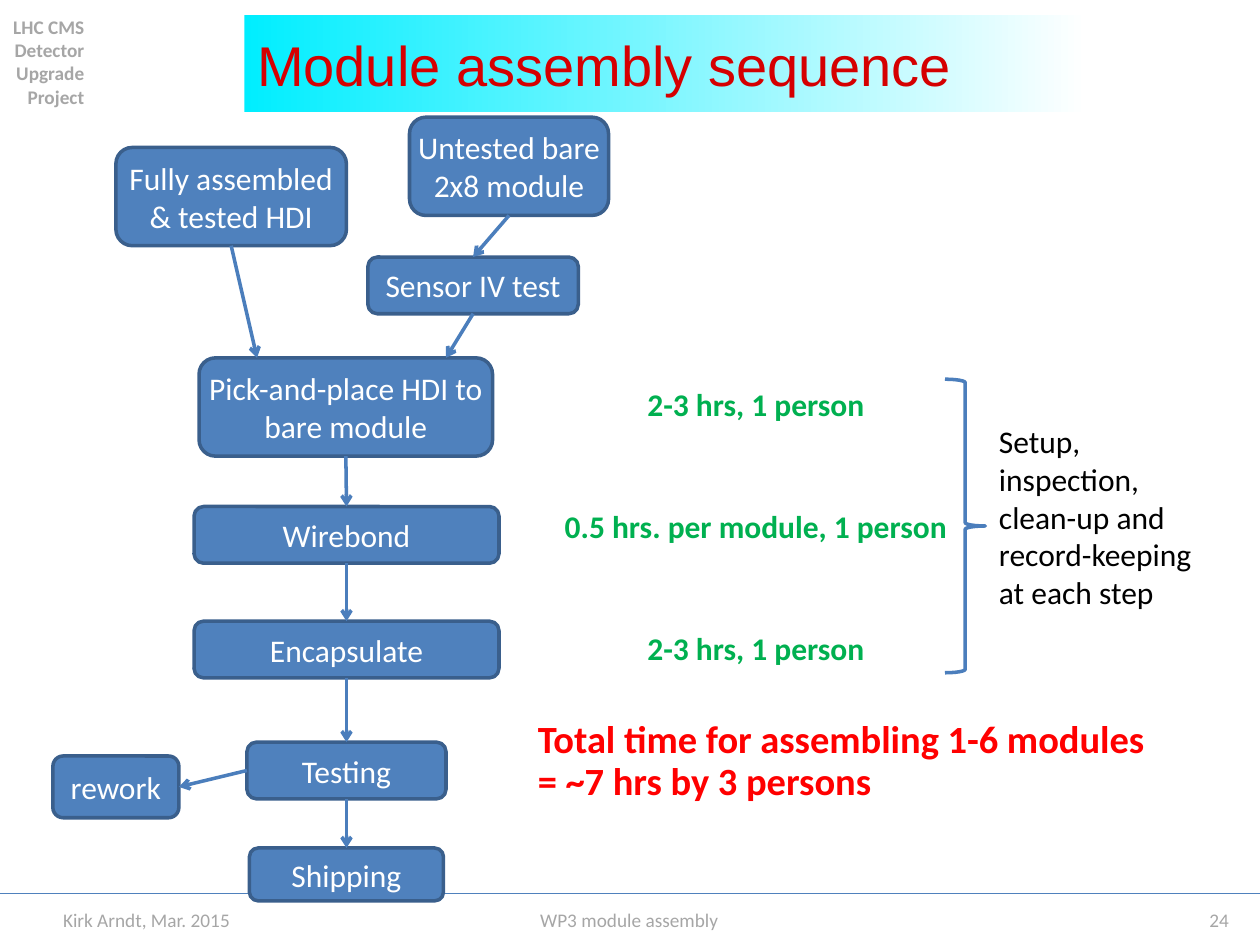
from lxml.etree import SubElement
from pptx import Presentation
from pptx.dml.color import RGBColor
from pptx.enum.shapes import MSO_CONNECTOR, MSO_SHAPE
from pptx.enum.text import MSO_ANCHOR, PP_ALIGN
from pptx.oxml.ns import qn
from pptx.util import Inches, Pt

BLUE = RGBColor(0x4F, 0x81, 0xBD)
DARK_BLUE = RGBColor(0x3A, 0x5F, 0x8C)
ARROW_BLUE = RGBColor(0x4B, 0x7E, 0xBC)
CYAN = RGBColor(0x00, 0xEE, 0xFF)
TITLE_RED = RGBColor(0xD5, 0x00, 0x01)
RED = RGBColor(0xFF, 0x00, 0x00)
GREEN = RGBColor(0x00, 0xB0, 0x50)
GRAY = RGBColor(0xA6, 0xA6, 0xA6)
BLACK = RGBColor(0x00, 0x00, 0x00)
WHITE = RGBColor(0xFF, 0xFF, 0xFF)

TOP, LEFT, BOTTOM, RIGHT = range(4)

STEP = {"name": "Calibri", "size": Pt(18), "color": WHITE}
DURATION = {"name": "Calibri", "size": Pt(18), "bold": True, "color": GREEN}
REMARK = {"name": "Calibri", "size": Pt(18), "color": BLACK}
TOTAL = {"name": "Calibri", "size": Pt(22), "bold": True, "color": RED}
SMALL = {"name": "Calibri", "size": Pt(11), "color": GRAY}
PROJECT = {**SMALL, "bold": True}
TITLE = {"name": "Arial", "size": Pt(32), "color": TITLE_RED}

TIGHT = {"margin_left": 0, "margin_right": 0}
MIDDLE = {"vertical_anchor": MSO_ANCHOR.MIDDLE}


def place(box, left, top, width, height):
    """Turn inches inside a region into slide lengths."""
    return [Inches(box[0] + left), Inches(box[1] + top), Inches(width), Inches(height)]


def write(shape, text, style, align=PP_ALIGN.LEFT, frame_format=None, spacing=None):
    frame = shape.text_frame
    for name, value in {"word_wrap": True, **(frame_format or {})}.items():
        setattr(frame, name, value)
    frame.text = text
    for paragraph in frame.paragraphs:
        paragraph.alignment = align
        paragraph.line_spacing = spacing
        for name, value in style.items():
            if name == "color":
                paragraph.font.color.rgb = value
            else:
                setattr(paragraph.font, name, value)


def add_label(slide, area, *text_args, **text_format):
    write(slide.shapes.add_textbox(*area), *text_args, **text_format)


def add_line(slide, start, end, color, width):
    line = slide.shapes.add_connector(MSO_CONNECTOR.STRAIGHT, *start, *end)
    line.line.color.rgb = color
    line.line.width = Pt(width)
    SubElement(line._element.spPr, qn("a:effectLst"))
    return line


def add_step(slide, area, text):
    step = slide.shapes.add_shape(MSO_SHAPE.ROUNDED_RECTANGLE, *area)
    step.shadow.inherit = False
    step.fill.solid()
    step.fill.fore_color.rgb = BLUE
    step.line.color.rgb = DARK_BLUE
    step.line.width = Pt(2)
    write(step, text, STEP, PP_ALIGN.CENTER, {**TIGHT, **MIDDLE})
    return step


def add_arrow(slide, source, target, sides=(BOTTOM, TOP), end=(0, 0)):
    """Join two steps; without a target the arrow stops at the end point."""
    arrow = add_line(slide, (0, 0), end, ARROW_BLUE, 2)
    arrow.begin_connect(source, sides[0])
    if target is not None:
        arrow.end_connect(target, sides[1])
    SubElement(arrow.line._get_or_add_ln(), qn("a:tailEnd"), type="arrow")


def add_header(slide, box):
    # Project name
    add_label(slide, place(box, 0, 0.07, 0.67, 0.84),
              "LHC CMS\nDetector\nUpgrade\nProject", PROJECT, PP_ALIGN.RIGHT,
              {**TIGHT, **MIDDLE, "margin_top": 0, "margin_bottom": 0,
               "word_wrap": False})

    # Title on a fading band
    title = slide.shapes.title
    title.left, title.top, title.width, title.height = place(box, 1.94, 0.12, 6.69, 0.77)
    title.fill.gradient()
    title.fill.gradient_angle = 0
    for stop, position, color in zip(title.fill.gradient_stops, (0, 1), (CYAN, WHITE)):
        stop.position = position
        stop.color.rgb = color
    write(title, "Module assembly sequence", TITLE, frame_format=MIDDLE)


def add_flow(slide, box):
    # Steps
    areas = {
        "Fully assembled & tested HDI": (0.5, 0.24, 1.83, 0.78),
        "Untested bare 2x8 module": (2.83, 0, 1.58, 0.78),
        "Sensor IV test": (2.5, 1.11, 1.67, 0.45),
        "Pick-and-place HDI to bare module": (1.16, 1.91, 2.33, 0.78),
        "Wirebond": (1.12, 3.09, 2.42, 0.45),
        "Encapsulate": (1.12, 4, 2.42, 0.45),
        "Testing": (1.54, 4.96, 1.58, 0.45),
        "Shipping": (1.56, 5.8, 1.54, 0.42),
        "rework": (0, 5.07, 1, 0.49),
    }
    steps = [add_step(slide, place(box, *area), text) for text, area in areas.items()]
    hdi, bare_module, sensor_test, *main_steps, rework = steps
    testing = main_steps[-2]

    # Arrows down the main column and to rework
    for source, target in zip(main_steps, main_steps[1:]):
        add_arrow(slide, source, target)
    add_arrow(slide, testing, rework, (LEFT, RIGHT))

    # Arrows of the two inputs, meeting at the top of pick-and-place
    add_arrow(slide, bare_module, sensor_test)
    for source, left in ((hdi, 1.62), (sensor_test, 3.12)):
        add_arrow(slide, source, None, end=place(box, left, 1.91, 0, 0)[:2])


def add_timing(slide, box):
    # Time for each step
    durations = ("2-3 hrs, 1 person", "0.5 hrs. per module, 1 person", "2-3 hrs, 1 person")
    for row, text in enumerate(durations):
        add_label(slide, place(box, 0.2, row * 0.965, 3.26, 0.4), text, DURATION,
                  PP_ALIGN.CENTER, {"word_wrap": False})

    # Brace and its remark
    brace = slide.shapes.add_shape(MSO_SHAPE.RIGHT_BRACE, *place(box, 3.33, 0, 0.32, 2.33))
    brace.shadow.inherit = False
    brace.fill.background()
    brace.line.color.rgb = ARROW_BLUE
    brace.line.width = Pt(2)
    add_label(slide, place(box, 3.66, 0.29, 1.75, 1.62),
              "Setup, inspection, clean-up and record-keeping at each step", REMARK)

    # Total
    add_label(slide, place(box, 0, 2.66, 5.17, 0.77),
              "Total time for assembling 1-6 modules = ~7 hrs by 3 persons",
              TOTAL, spacing=0.9)


def add_footer(slide, box):
    left, top, width, _ = box
    add_line(slide, (Inches(left), Inches(top)), (Inches(left + width), Inches(top)),
             BLUE, 0.25)
    for text, x, label_width, align in (
        ("Kirk Arndt, Mar. 2015", 0.5, 2.02, PP_ALIGN.LEFT),
        ("WP3 module assembly", 2.53, 4.93, PP_ALIGN.CENTER),
        ("24", 9.35, 0.65, PP_ALIGN.CENTER),
    ):
        add_label(slide, place(box, x, 0.01, label_width, 0.4), text, SMALL, align,
                  {**TIGHT, **MIDDLE})


def main():
    presentation = Presentation()
    presentation.slide_width = Inches(10)
    presentation.slide_height = Inches(7.5)
    slide = presentation.slides.add_slide(presentation.slide_layouts[5])

    # Boxes are left, top, width, height in inches
    add_footer(slide, (0, 7.09, 10, 0.41))
    add_header(slide, (0, 0, 10, 0.91))
    add_flow(slide, (0.42, 0.93, 4.41, 6.22))
    add_timing(slide, (4.17, 3.01, 5.41, 3.43))
    presentation.save("out.pptx")


if __name__ == "__main__":
    main()
